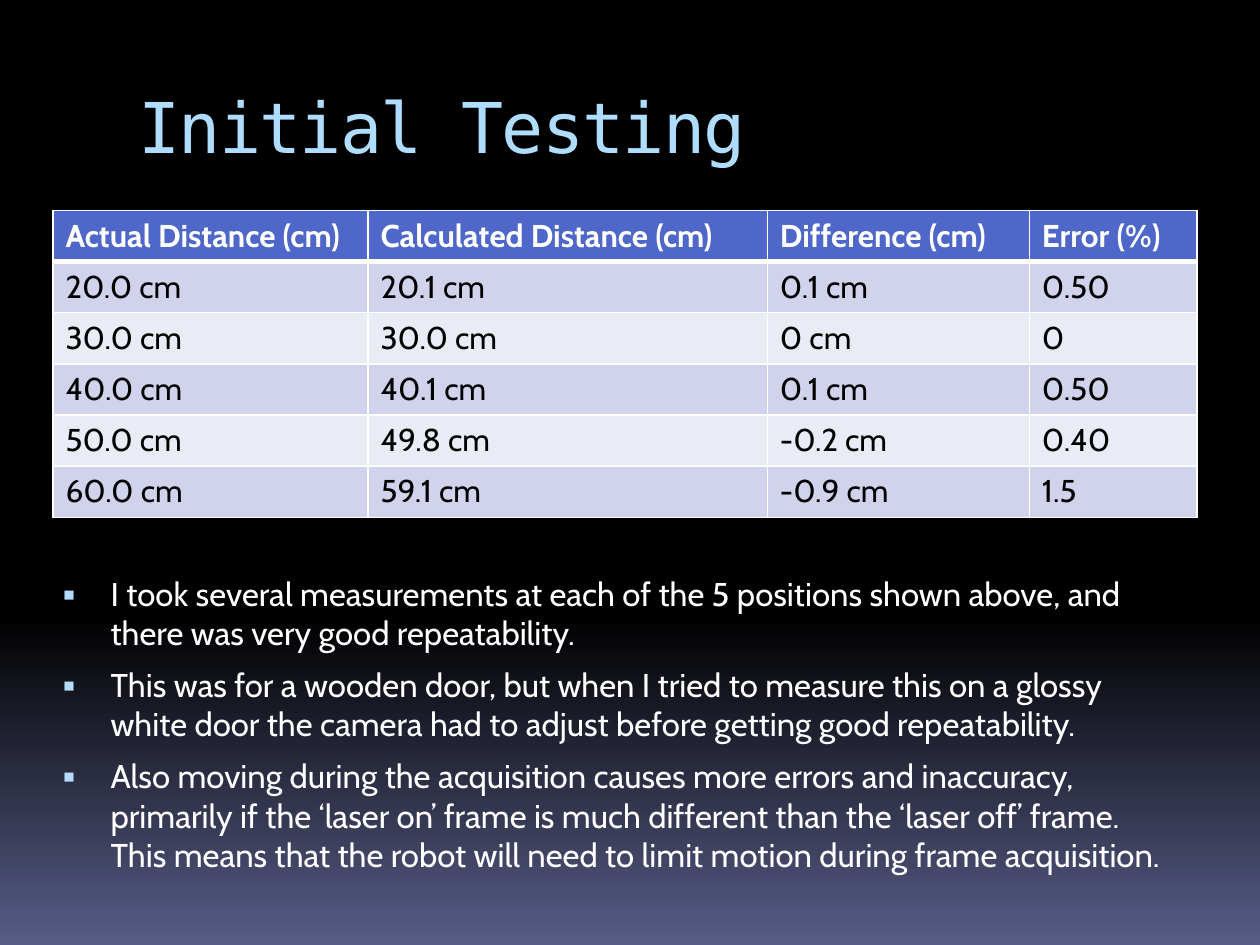
import pptx
import pptx.util
import pptx.dml.color
import pptx.oxml
import pptx.oxml.ns
import lxml.etree

Inches = pptx.util.Inches
Pt = pptx.util.Pt
RGBColor = pptx.dml.color.RGBColor
qn = pptx.oxml.ns.qn

BLACK = RGBColor(0x00, 0x00, 0x00)
WHITE = RGBColor(0xFF, 0xFF, 0xFF)
DUSK = RGBColor(0x57, 0x5C, 0x86)
TITLE_BLUE = RGBColor(0xAF, 0xDD, 0xFF)
BULLET_BLUE = RGBColor(0xB4, 0xDC, 0xFA)
HEADER_BLUE = RGBColor(0x4E, 0x67, 0xC8)
BANDS = (RGBColor(0xD0, 0xD3, 0xEB), RGBColor(0xE9, 0xEB, 0xF5))

BODY_FONT = "Cabin"
TITLE_FONT = "DejaVu Sans Mono"

COLUMN_WIDTHS = (2.5, 3.17, 2.08, 1.33)
ROW_HEIGHT = 0.406
MEASUREMENTS = (
    ("Actual Distance (cm)", "Calculated Distance (cm)", "Difference (cm)", "Error (%)"),
    ("20.0 cm", "20.1 cm", "0.1 cm", "0.50"),
    ("30.0 cm", "30.0 cm", "0 cm", "0"),
    ("40.0 cm", "40.1 cm", "0.1 cm", "0.50"),
    ("50.0 cm", "49.8 cm", "-0.2 cm", "0.40"),
    ("60.0 cm", "59.1 cm", "-0.9 cm", "1.5"),
)
FINDINGS = (
    "I took several measurements at each of the 5 positions shown above, and there was "
    "very good repeatability.",
    "This was for a wooden door, but when I tried to measure this on a glossy white door "
    "the camera had to adjust before getting good repeatability.",
    "Also moving during the acquisition causes more errors and inaccuracy, primarily if the "
    "‘laser on’ frame is much different than the ‘laser off’ frame. This means that the "
    "robot will need to limit motion during frame acquisition.",
)


def add_element(parent, tag, **attributes):
    element = lxml.etree.SubElement(parent, qn(tag))
    for name, value in attributes.items():
        element.set(name, str(value))
    return element


def add_solid_fill(parent, color):
    add_element(add_element(parent, "a:solidFill"), "a:srgbClr", val=color)


def set_background(page):
    page.background.fill.gradient()
    gradient = page.background.fill._xPr.find(qn("a:gradFill"))
    for child in list(gradient):
        gradient.remove(child)
    stops = add_element(gradient, "a:gsLst")
    for percent, color in ((0, BLACK), (65, BLACK), (100, DUSK)):
        stop = add_element(stops, "a:gs", pos=percent * 1000)
        add_element(stop, "a:srgbClr", val=color)
    add_element(gradient, "a:lin", ang=90 * 60000, scaled=0)


def format_paragraph(para, font, size, color, bold=False):
    for span in para.runs:
        span.font.name = font
        span.font.size = Pt(size)
        span.font.color.rgb = color
        span.font.bold = bold


def add_text_box(page, left, top, width, height):
    box = page.shapes.add_textbox(Inches(left), Inches(top), Inches(width), Inches(height))
    box.text_frame.word_wrap = True
    return box


def add_title(page, text):
    box = add_text_box(page, 1, 0.56, 8.5, 1)
    box.text_frame.margin_top = Inches(0.1)
    box.text_frame.text = text
    para = box.text_frame.paragraphs[0]
    format_paragraph(para, TITLE_FONT, 40, TITLE_BLUE)
    para.runs[0].font._element.set("spc", "-100")


def set_borders(cell, bottom_width, top_width):
    properties = cell._tc.get_or_add_tcPr()
    widths = {"a:lnL": 1, "a:lnR": 1, "a:lnT": top_width, "a:lnB": bottom_width}
    for tag, width in widths.items():
        add_solid_fill(add_element(properties, tag, w=Pt(width)), WHITE)


def format_cell(cell, text, row):
    header = row == 0
    cell.text = text
    format_paragraph(cell.text_frame.paragraphs[0], BODY_FONT, 18,
                     WHITE if header else BLACK, header)
    set_borders(cell, 3 if header else 1, 3 if row == 1 else 1)
    cell.fill.solid()
    cell.fill.fore_color.rgb = HEADER_BLUE if header else BANDS[(row - 1) % 2]


def add_measurements(page):
    frame = page.shapes.add_table(
        len(MEASUREMENTS), len(COLUMN_WIDTHS), Inches(0.42), Inches(1.67),
        Inches(sum(COLUMN_WIDTHS)), Inches(ROW_HEIGHT * len(MEASUREMENTS)))
    table = frame.table
    for column, width in zip(table.columns, COLUMN_WIDTHS):
        column.width = Inches(width)
    for row, texts in enumerate(MEASUREMENTS):
        table.rows[row].height = Inches(ROW_HEIGHT)
        for column, text in enumerate(texts):
            format_cell(table.cell(row, column), text, row)


def add_bullet(para):
    properties = para._p.get_or_add_pPr()
    properties.set("marL", str(Inches(0.45)))
    properties.set("indent", str(Inches(-0.38)))
    add_element(add_element(properties, "a:buClr"), "a:srgbClr", val=BULLET_BLUE)
    add_element(properties, "a:buSzPct", val=95000)
    add_element(properties, "a:buFont", typeface=BODY_FONT)
    add_element(properties, "a:buChar", char="▪")


def add_findings(page):
    box = add_text_box(page, 0.33, 4.5, 9.17, 2.42)
    box.text_frame.text = "\n".join(FINDINGS)
    for para in box.text_frame.paragraphs:
        para.space_before = Pt(7)
        add_bullet(para)
        format_paragraph(para, BODY_FONT, 18.8, WHITE)


def main():
    deck = pptx.Presentation()
    deck.slide_width = Inches(10)
    deck.slide_height = Inches(7.5)
    page = deck.slides.add_slide(deck.slide_layouts[6])
    set_background(page)
    add_title(page, "Initial Testing")
    add_measurements(page)
    add_findings(page)
    deck.save("out.pptx")


main()
